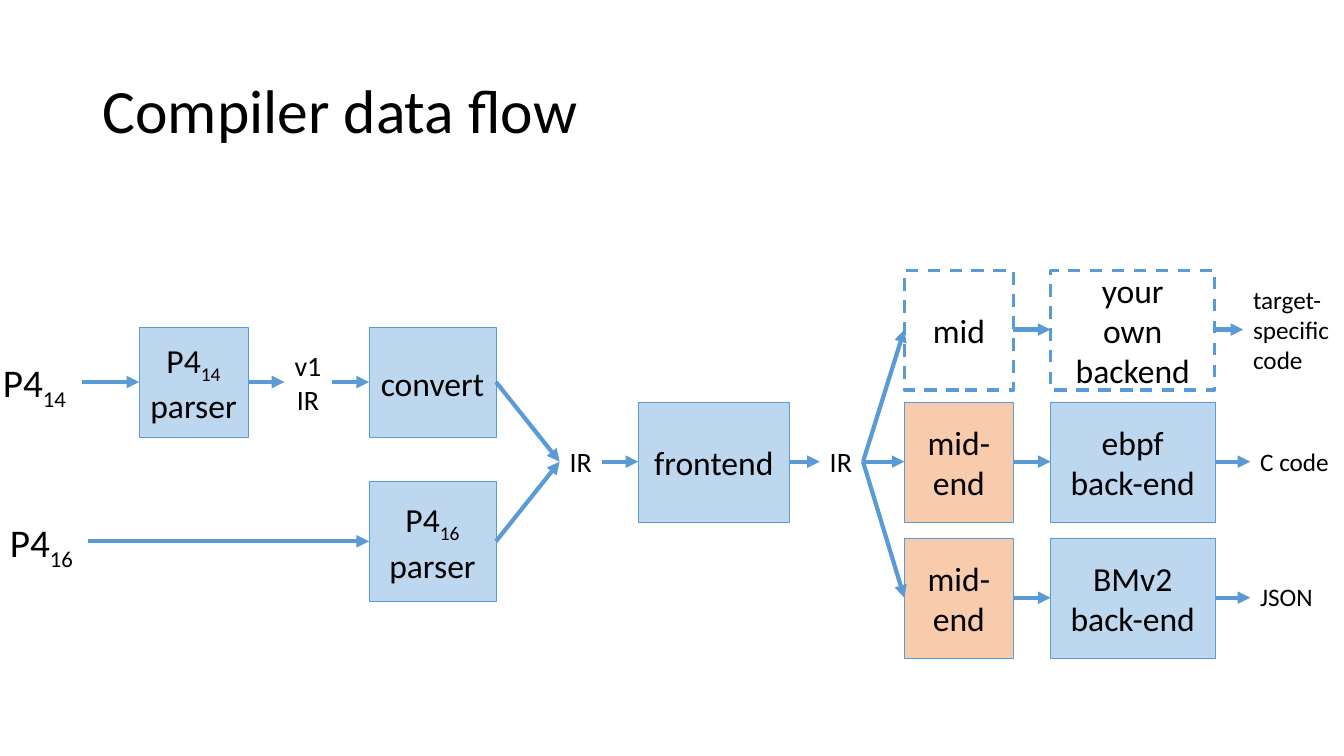
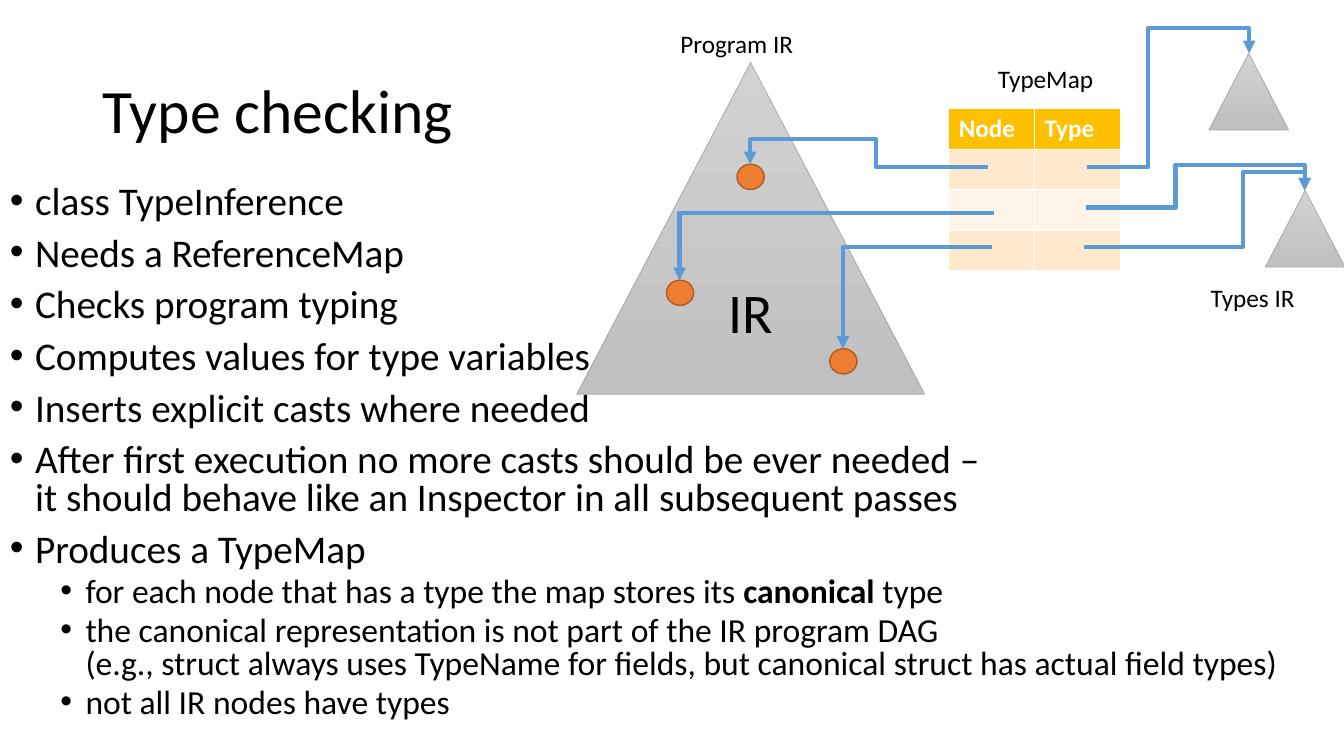
from lxml.etree import SubElement
from pptx import Presentation
from pptx.dml.color import RGBColor
from pptx.enum.dml import MSO_LINE
from pptx.enum.shapes import MSO_CONNECTOR, MSO_SHAPE
from pptx.enum.text import MSO_ANCHOR, MSO_AUTO_SIZE, PP_ALIGN
from pptx.oxml.ns import qn
from pptx.util import Pt

SCALE = 9144  # EMU per px, 100 px to the inch
FONT = "Calibri"
COLORS = {
    "text": "000000", "white": "FFFFFF", "blue": "5B9BD5",
    "stage": "BDD7EE", "mid": "F8CBAD",
    "gray_top": "D2D2D2", "gray_bottom": "C0C0C0", "gray_line": "A5A5A5",
    "node": "ED7D31", "node_line": "AF5C24",
    "header": "FFC000", "band_dark": "FFE8CC", "band_light": "FFF4E7",
}


def px(*lengths):
    return [length * SCALE for length in lengths]


def color(name):
    return RGBColor.from_string(COLORS[name])


# --- Text ---

def versioned(number):
    return (("P4", ""), (number, "sub"))


def style_span(span, size, shade="text", bold=False):
    span.font.name = FONT
    span.font.size = Pt(size)
    span.font.color.rgb = color(shade)
    span.font.bold = bold


def write_para(para, content, size, align=PP_ALIGN.LEFT):
    """Content is a string, or a tuple of (text, style) spans."""
    para.alignment = align
    if isinstance(content, str):
        para.text = content
        content = ()
    for text, _ in content:
        para.add_run().text = text
    for span in para.runs:
        style_span(span, size)
    for span, (_, style) in zip(para.runs, content):
        if style == "sub":
            span.font._element.set("baseline", "-25000")
        span.font.bold = style == "bold"


def write_lines(frame, lines, size, align):
    for index, line in enumerate(lines):
        para = frame.add_paragraph() if index else frame.paragraphs[0]
        write_para(para, line, size, align)


def add_title(page, text):
    box = page.shapes.add_textbox(*px(92, 40, 1150, 145))
    frame = box.text_frame
    frame.word_wrap = True
    frame.vertical_anchor = MSO_ANCHOR.MIDDLE
    write_para(frame.paragraphs[0], text, 44)
    frame.paragraphs[0].line_spacing = 0.9


def add_label(page, place, lines, size=18, align=PP_ALIGN.LEFT):
    frame = page.shapes.add_textbox(*px(*place)).text_frame
    frame.word_wrap = False
    frame.auto_size = MSO_AUTO_SIZE.SHAPE_TO_FIT_TEXT
    write_lines(frame, lines, size, align)


def add_bullets(page, place, items):
    """Items are (level, content) pairs."""
    frame = page.shapes.add_textbox(*px(*place)).text_frame
    frame.word_wrap = True
    for index, (level, content) in enumerate(items):
        para = frame.add_paragraph() if index else frame.paragraphs[0]
        para.level = level
        properties = para._p.get_or_add_pPr()
        margin, hang = px(25 + 50 * level, -25)
        properties.set("marL", str(margin))
        properties.set("indent", str(hang))
        SubElement(properties, qn("a:buFont")).set("typeface", "Arial")
        SubElement(properties, qn("a:buChar")).set("char", "•")
        write_para(para, content, 24 if level else 28)
        para.line_spacing = 0.8
        if index:
            para.space_before = Pt(5 if level else 10)


# --- Shapes ---

def add_outlined(page, kind, place, line, width):
    shape = page.shapes.add_shape(kind, *px(*place))
    shape.shadow.inherit = False
    shape.line.color.rgb = color(line)
    shape.line.width = Pt(width)
    return shape


def add_stage(page, place, lines, fill="stage"):
    """A pipeline box; without a fill it gets a dashed outline."""
    shape = add_outlined(page, MSO_SHAPE.RECTANGLE, place, "blue", 0.5 if fill else 2.25)
    if fill:
        shape.fill.solid()
        shape.fill.fore_color.rgb = color(fill)
    else:
        shape.fill.background()
        shape.line.dash_style = MSO_LINE.DASH
    shape.text_frame.vertical_anchor = MSO_ANCHOR.MIDDLE
    write_lines(shape.text_frame, lines, 24, PP_ALIGN.CENTER)


def add_triangle(page, place, text=""):
    shape = add_outlined(page, MSO_SHAPE.ISOSCELES_TRIANGLE, place, "gray_line", 0.5)
    shape.fill.gradient()
    shape.fill.gradient_angle = 270
    for stop, shade in zip(shape.fill.gradient_stops, ("gray_top", "gray_bottom")):
        stop.color.rgb = color(shade)
    if text:
        shape.text_frame.vertical_anchor = MSO_ANCHOR.MIDDLE
        write_lines(shape.text_frame, [text], 40, PP_ALIGN.CENTER)


def add_node(page, center_x, top):
    shape = add_outlined(page, MSO_SHAPE.OVAL, (center_x - 13, top, 27, 25), "node_line", 1)
    shape.fill.solid()
    shape.fill.fore_color.rgb = color("node")


# --- Arrows ---

def add_arrow(page, start, end, kind=MSO_CONNECTOR.STRAIGHT):
    arrow = page.shapes.add_connector(kind, *px(*start, *end))
    arrow.line.color.rgb = color("blue")
    arrow.line.width = Pt(3)
    properties = arrow._element.spPr
    SubElement(properties.find(qn("a:ln")), qn("a:tailEnd")).set("type", "triangle")
    SubElement(properties, qn("a:effectLst"))
    return arrow


def add_bent_arrow(page, start, end, turn=None):
    """One corner, or three when turn gives the (x, y) of the middle run."""
    arrow = add_arrow(page, start, end, MSO_CONNECTOR.ELBOW)
    properties = arrow._element.spPr
    geometry = properties.find(qn("a:prstGeom"))
    geometry.set("prst", "bentConnector4" if turn else "bentConnector2")
    guides = geometry.find(qn("a:avLst"))
    if guides is None:
        guides = SubElement(geometry, qn("a:avLst"))
    for axis in range(2 if turn else 0):
        ratio = (turn[axis] - start[axis]) / (end[axis] - start[axis])
        guide = SubElement(guides, qn("a:gd"))
        guide.set("name", f"adj{axis + 1}")
        guide.set("fmla", f"val {round(ratio * 100000)}")
    # Leftward arrows are turned by half a circle instead of mirrored
    if end[0] < start[0]:
        frame = properties.find(qn("a:xfrm"))
        frame.attrib.pop("flipH", None)
        frame.set("rot", "10800000")
        frame.set("flipV", "1" if end[1] > start[1] else "0")


# --- Table ---

def add_type_map(page, place, headings, body_rows):
    table = page.shapes.add_table(body_rows + 1, len(headings), *px(*place)).table
    for row_index, row in enumerate(table.rows):
        shade = ("band_light", "band_dark")[row_index % 2] if row_index else "header"
        for cell, heading in zip(row.cells, headings):
            cell.fill.solid()
            cell.fill.fore_color.rgb = color(shade)
            if row_index == 0:
                cell.text = heading
                style_span(cell.text_frame.paragraphs[0].runs[0], 18, "white", True)


# --- Slides ---

def build_data_flow(page):
    add_title(page, "Compiler data flow")

    # Sources, parsers and front end
    add_label(page, (-7, 351, 87, 57), [versioned("14")], 28)
    add_label(page, (0, 509, 87, 57), [versioned("16")], 28)
    add_stage(page, (138, 325, 108, 109), [versioned("14"), "parser"])
    add_stage(page, (366, 325, 126, 109), ["convert"])
    add_stage(page, (366, 478, 126, 119), [versioned("16"), "parser"])
    add_stage(page, (633, 399, 150, 119), ["frontend"])
    add_label(page, (282, 341, 47, 77), ["v1\vIR"], 20, PP_ALIGN.CENTER)
    for left in (555, 813):
        add_label(page, (left, 436, 42, 44), ["IR"], 20, PP_ALIGN.CENTER)
    for start, end in (
        ((81, 379), (138, 379)), ((246, 379), (282, 379)), ((329, 379), (366, 379)),
        ((87, 537), (366, 537)), ((492, 379), (555, 458)), ((492, 537), (555, 458)),
        ((597, 458), (633, 458)), ((783, 458), (813, 458)),
    ):
        add_arrow(page, start, end)

    # One row per back end
    height = 119
    for top, mid, mid_fill, backend, fill, output, output_place in (
        (268, "mid", None, ["your\vown\vbackend"], None,
         ["target-\vspecific", "code"], (1233, 277, 97, 101)),
        (399, "mid-\vend", "mid", ["ebpf", "back-end"], "stage",
         ["C code"], (1240, 438, 89, 40)),
        (534, "mid-\vend", "mid", ["BMv2", "back-end"], "stage",
         ["JSON"], (1240, 572, 73, 40)),
    ):
        middle = top + height // 2
        add_stage(page, (897, top, 108, height), [mid], mid_fill)
        add_stage(page, (1042, top, 163, height), backend, fill)
        add_label(page, output_place, output)
        add_arrow(page, (856, 458), (897, middle))
        add_arrow(page, (1005, middle), (1042, middle))
        add_arrow(page, (1205, middle), (output_place[0], middle))


def build_type_checking(page):
    add_title(page, "Type checking")
    add_bullets(page, (0, 179, 1333, 571), (
        (0, "class TypeInference"),
        (0, "Needs a ReferenceMap"),
        (0, "Checks program typing"),
        (0, "Computes values for type variables"),
        (0, "Inserts explicit casts where needed"),
        (0, "After first execution no more casts should be ever needed –\v"
            "it should behave like an Inspector in all subsequent passes"),
        (0, "Produces a TypeMap"),
        (1, (("for each node that has a type the map stores its ", ""),
             ("canonical", "bold"), (" type", ""))),
        (1, "the canonical representation is not part of the IR program DAG\v"
            "(e.g., struct always uses TypeName for fields, "
            "but canonical struct has actual field types)"),
        (1, "not all IR nodes have types"),
    ))

    # Program tree, type trees and the map between them
    add_triangle(page, (572, 62, 345, 329), "IR")
    add_triangle(page, (1199, 53, 79, 76))
    add_triangle(page, (1255, 189, 79, 76))
    add_type_map(page, (941, 108, 170, 160), ("Node", "Type"), 3)

    # Links from the map to program nodes and to types
    for start, node, turn in (
        ((980, 166), (744, 163), (869, 138)),
        ((986, 211), (674, 278), None),
        ((984, 245), (836, 346), None),
    ):
        add_bent_arrow(page, start, node, turn)
        add_node(page, *node)
    for start, end, turn in (
        ((1078, 166), (1239, 53), (1139, 28)),
        ((1077, 206), (1294, 189), (1166, 164)),
        ((1075, 245), (1294, 189), (1233, 171)),
    ):
        add_bent_arrow(page, start, end, turn)

    # Captions
    add_label(page, (665, 23, 133, 40), ["Program IR"])
    add_label(page, (980, 58, 116, 40), ["TypeMap"])
    add_label(page, (1191, 275, 104, 40), ["Types IR"])


def main():
    deck = Presentation()
    deck.slide_width, deck.slide_height = px(1333, 750)
    for build in (build_data_flow, build_type_checking):
        build(deck.slides.add_slide(deck.slide_layouts[6]))
    deck.save("out.pptx")


if __name__ == "__main__":
    main()
